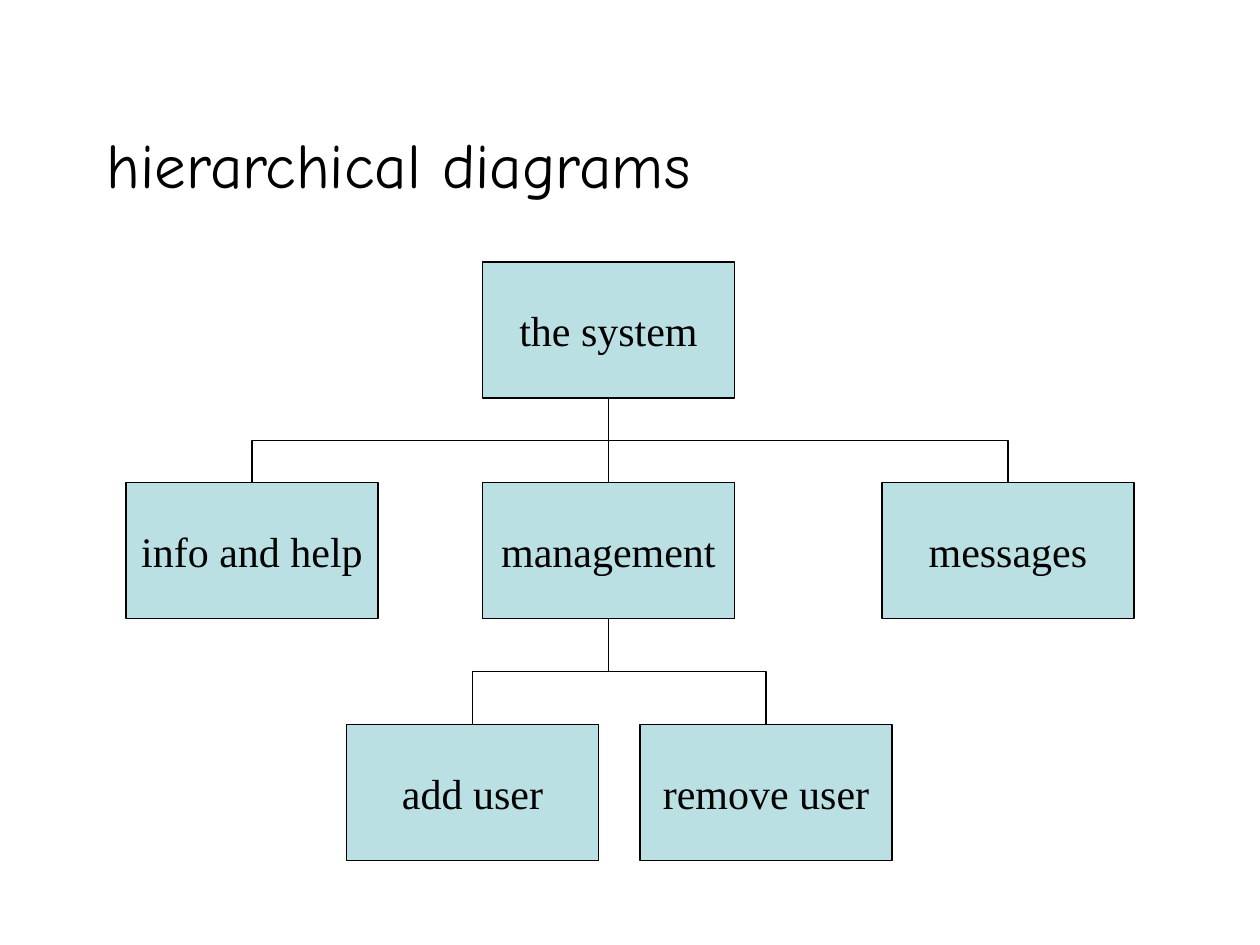
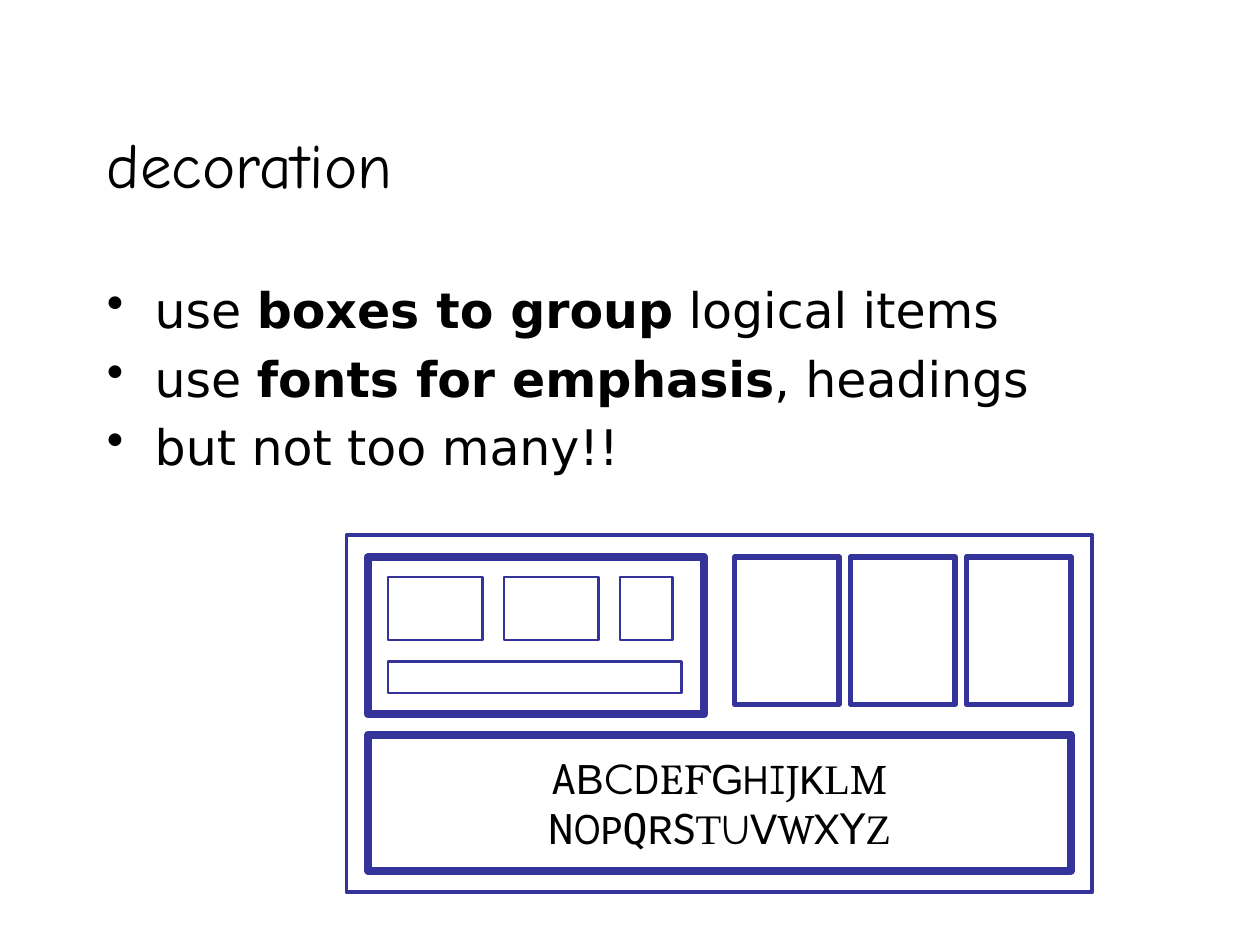
import dataclasses
import typing

import lxml.etree
import pptx
import pptx.dml.color
import pptx.enum.shapes
import pptx.enum.text
import pptx.oxml.ns
import pptx.util

Inches = pptx.util.Inches
Pt = pptx.util.Pt
SHAPE = pptx.enum.shapes.MSO_SHAPE
CONNECTOR = pptx.enum.shapes.MSO_CONNECTOR
MIDDLE = pptx.enum.text.MSO_ANCHOR.MIDDLE
CENTER = pptx.enum.text.PP_ALIGN.CENTER

COLORS = {"text": "000000", "node": "BBE0E3", "paper": "FFFFFF", "frame": "333399"}
TITLE_FONT = {"name": "Comic Neue", "size": Pt(36)}
BODY_FONT = {"name": "DejaVu Sans", "size": Pt(28)}
LABEL_FONT = {"name": "Times New Roman", "size": Pt(24)}
CENTERED_FRAME = {"word_wrap": False, "vertical_anchor": MIDDLE}

NODE_WIDTH, NODE_HEIGHT = 2, 1.08
BULLET_INDENT = 0.38

ALPHABET_FONTS = [
    [("A", "Roboto Condensed"), ("B", "Arial"), ("C", "Montserrat"),
     ("D", "Arial Narrow"), ("E", "Vollkorn"), ("F", "TeX Gyre Bonum"),
     ("G", "Arial"), ("H", "League Spartan"), ("I", "Comic Neue"),
     ("J", "Cambria"), ("K", "Courier New"), ("L", "Times New Roman"),
     ("M", "Cambria")],
    [("N", "Roboto Condensed"), ("O", "Arial Narrow"), ("P", "Calibri"),
     ("Q", "DejaVu Sans Mono"), ("R", "Courier New"), ("S", "Lato"),
     ("T", "Times New Roman"), ("U", "Comic Neue"), ("V", "Cabin"),
     ("W", "Cambria"), ("X", "Cabin"), ("Y", "DejaVu Sans"),
     ("Z", "Times New Roman")],
]

# Each bullet is a list of (text, bold) pairs.
ADVICE = [
    [("use ", False), ("boxes to group", True), (" logical items", False)],
    [("use ", False), ("fonts for emphasis", True), (", headings", False)],
    [("but not too many!!", False)],
]


@dataclasses.dataclass(frozen=True)
class Box:
    left: float
    top: float
    width: float
    height: float
    border: float

    @property
    def center(self) -> float:
        return self.left + self.width / 2

    @property
    def bottom(self) -> float:
        return self.top + self.height


@dataclasses.dataclass(frozen=True)
class Node:
    label: str
    left: float
    top: float
    parent: typing.Optional[str] = None

    @property
    def box(self) -> Box:
        return Box(self.left, self.top, NODE_WIDTH, NODE_HEIGHT, 0.75)


NODES = [
    Node("the system", 3.83, 2.08),
    Node("info and help", 1, 3.83, "the system"),
    Node("management", 3.83, 3.83, "the system"),
    Node("messages", 7, 3.83, "the system"),
    Node("add user", 2.75, 5.75, "management"),
    Node("remove user", 5.08, 5.75, "management"),
]

ALPHABET_PANEL = Box(2.92, 5.83, 5.58, 1.08, 4.5)
FRAMES = [
    Box(2.75, 4.25, 5.92, 2.83, 2.25),
    Box(2.92, 4.42, 2.67, 1.25, 4.5),
    ALPHABET_PANEL,
    *(Box(5.83 + 0.92 * column, 4.42, 0.83, 1.17, 3) for column in range(3)),
    *(Box(3.08 + 0.92 * column, 4.58, width, 0.5, 1.5)
      for column, width in enumerate((0.75, 0.75, 0.42))),
    Box(3.08, 5.25, 2.33, 0.25, 1.5),
]


def rgb(role: str) -> pptx.dml.color.RGBColor:
    return pptx.dml.color.RGBColor.from_string(COLORS[role])


def apply(target: typing.Any, values: dict) -> None:
    for attribute, value in values.items():
        setattr(target, attribute, value)


def add_run(paragraph, text: str, font: dict) -> None:
    run = paragraph.add_run()
    run.text = text
    apply(run.font, font)
    run.font.color.rgb = rgb("text")


def paragraphs(frame, count: int) -> list:
    """Return count paragraphs of a new text frame, using its first one."""
    return [frame.paragraphs[0]] + [frame.add_paragraph() for _ in range(count - 1)]


def add_text_frame(slide, left: float, top: float, width: float, height: float):
    frame = slide.shapes.add_textbox(
        Inches(left), Inches(top), Inches(width), Inches(height)).text_frame
    frame.word_wrap = True
    return frame


def add_titled_slide(deck, title: str):
    slide = deck.slides.add_slide(deck.slide_layouts[6])
    frame = add_text_frame(slide, 0.75, 0.67, 7.5, 1.25)
    frame.vertical_anchor = MIDDLE
    add_run(frame.paragraphs[0], title, TITLE_FONT)
    return slide


def draw_box(slide, box: Box, kind, fill: str, border: str):
    shape = slide.shapes.add_shape(
        kind, Inches(box.left), Inches(box.top), Inches(box.width), Inches(box.height))
    shape.shadow.inherit = False
    shape.fill.solid()
    shape.fill.fore_color.rgb = rgb(fill)
    shape.line.color.rgb = rgb(border)
    shape.line.width = Pt(box.border)
    return shape


def write_centered(shape, lines: list) -> None:
    """Fill a shape with centred lines, each a list of (text, font name)."""
    frame = shape.text_frame
    apply(frame, CENTERED_FRAME)
    for paragraph, line in zip(paragraphs(frame, len(lines)), lines):
        paragraph.alignment = CENTER
        for text, name in line:
            add_run(paragraph, text, LABEL_FONT | {"name": name})


def draw_branch(slide, parent: Box, child: Box) -> None:
    """Link the bottom of parent to the top of child, leaving vertically."""
    start_x, start_y, end_x, end_y = parent.center, parent.bottom, child.center, child.top
    kind, rotation = CONNECTOR.STRAIGHT, 0
    if start_x != end_x:
        # An elbow leaves sideways, so lay it on its side and turn it upright.
        kind, rotation = CONNECTOR.ELBOW, 90 if end_x < start_x else 270
        middle_x, middle_y = (start_x + end_x) / 2, (start_y + end_y) / 2
        half_drop, half_span = (end_y - start_y) / 2, abs(end_x - start_x) / 2
        side = 1 if end_x < start_x else -1
        start_x, end_x = middle_x - side * half_drop, middle_x + side * half_drop
        start_y, end_y = middle_y - half_span, middle_y + half_span
    branch = slide.shapes.add_connector(
        kind, Inches(start_x), Inches(start_y), Inches(end_x), Inches(end_y))
    branch.line.color.rgb = rgb("text")
    branch.line.width = Pt(0.75)
    properties = branch._element.spPr
    if rotation:
        properties.find(pptx.oxml.ns.qn("a:xfrm")).set("rot", str(rotation * 60000))
    lxml.etree.SubElement(properties, pptx.oxml.ns.qn("a:effectLst"))


def add_bullet(paragraph) -> None:
    qn = pptx.oxml.ns.qn
    properties = paragraph._p.get_or_add_pPr()
    properties.set("marL", str(Inches(BULLET_INDENT)))
    properties.set("indent", str(-Inches(BULLET_INDENT)))
    spacing = lxml.etree.SubElement(properties, qn("a:spcBef"))
    lxml.etree.SubElement(spacing, qn("a:spcPct"), val="20000")
    lxml.etree.SubElement(properties, qn("a:buChar"), char="•")


def build_hierarchy(deck) -> None:
    slide = add_titled_slide(deck, "hierarchical diagrams")
    boxes = {node.label: node.box for node in NODES}
    for label, box in boxes.items():
        shape = draw_box(slide, box, SHAPE.FLOWCHART_PROCESS, "node", "text")
        write_centered(shape, [[(label, LABEL_FONT["name"])]])
    for node in NODES:
        if node.parent:
            draw_branch(slide, boxes[node.parent], node.box)


def build_decoration(deck) -> None:
    slide = add_titled_slide(deck, "decoration")
    frame = add_text_frame(slide, 0.75, 2.17, 8.5, 4.5)
    for paragraph, phrases in zip(paragraphs(frame, len(ADVICE)), ADVICE):
        add_bullet(paragraph)
        for text, bold in phrases:
            add_run(paragraph, text, BODY_FONT | {"bold": bold})
    for box in FRAMES:
        shape = draw_box(slide, box, SHAPE.RECTANGLE, "paper", "frame")
        if box is ALPHABET_PANEL:
            write_centered(shape, ALPHABET_FONTS)


def main() -> None:
    deck = pptx.Presentation()
    apply(deck, {"slide_width": Inches(10), "slide_height": Inches(7.5)})
    build_hierarchy(deck)
    build_decoration(deck)
    deck.save("out.pptx")


if __name__ == "__main__":
    main()
